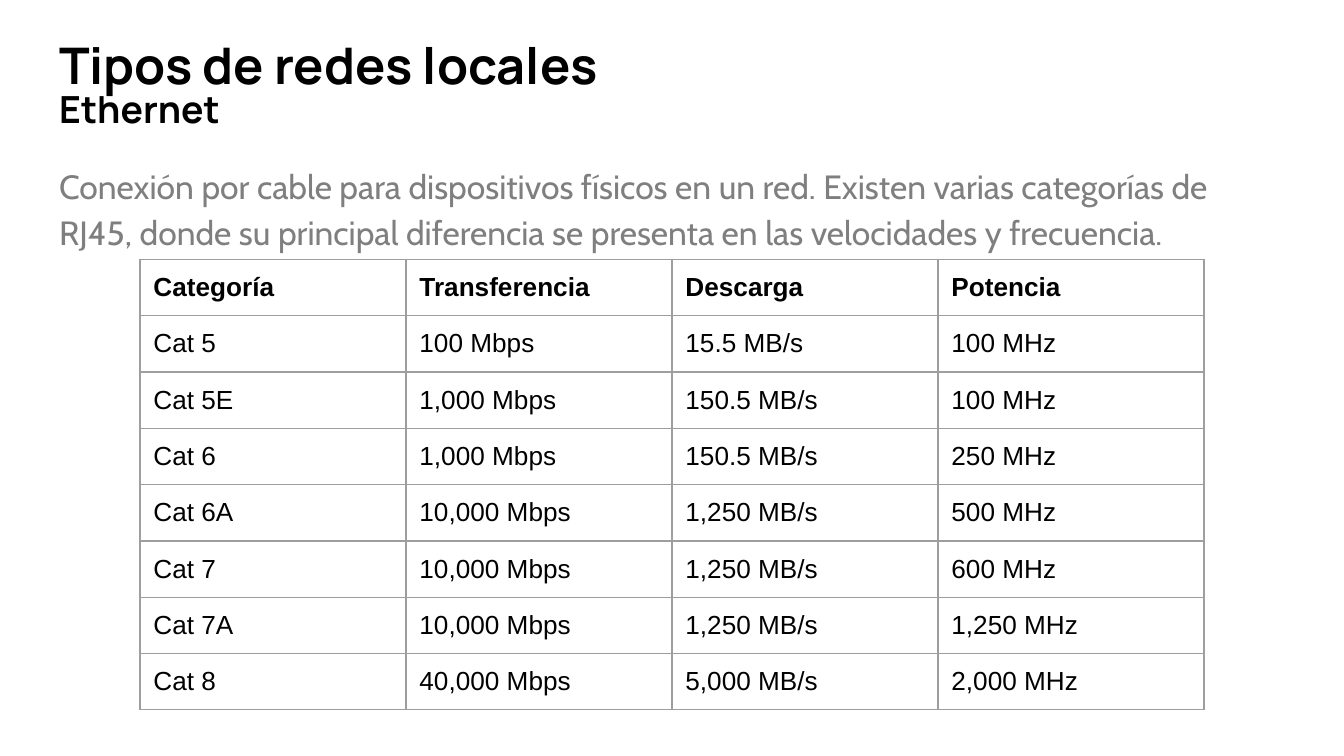
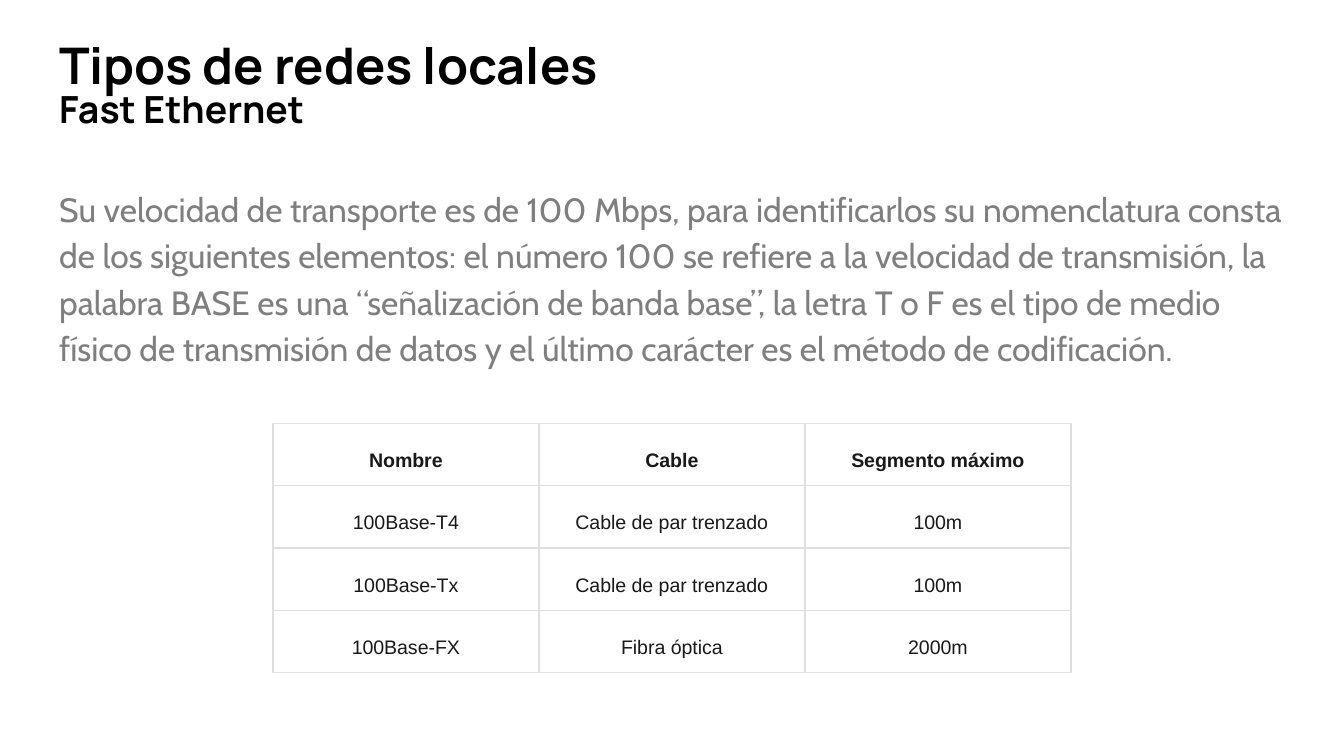
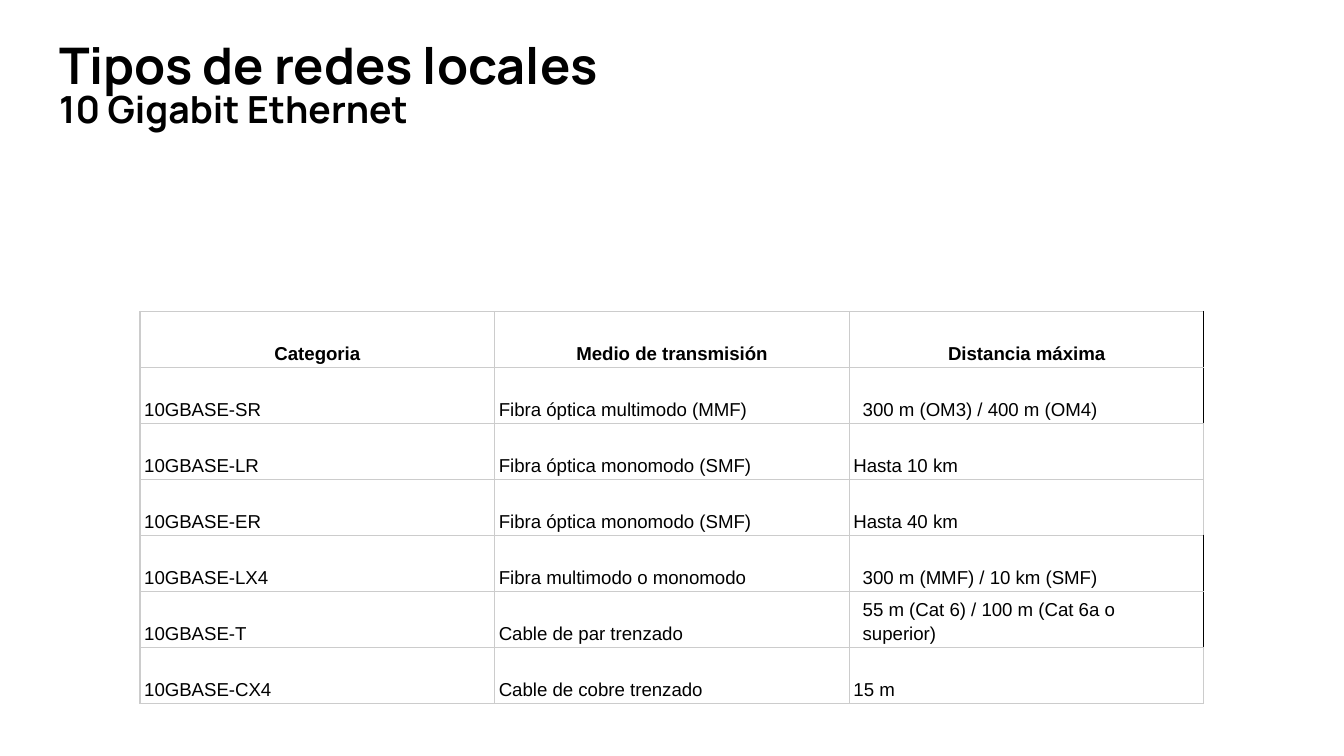
import pptx
import pptx.dml.color
import pptx.enum.text
import pptx.oxml
import pptx.oxml.ns
import pptx.util
from dataclasses import dataclass

Pt = pptx.util.Pt
ALIGN = pptx.enum.text.PP_ALIGN
ANCHOR = pptx.enum.text.MSO_ANCHOR

# Shared style
BLACK, GRAY = "000000", "7F7F7F"
TITLE_FONT, BODY_FONT, TABLE_FONT = "Manrope", "Cabin", "Arial"
TITLE = "Tipos de redes locales"
LEFT, WIDTH = 24.5, 671
INSET = 7.2


@dataclass
class TableStyle:
    size: float
    border: str
    color: str = BLACK
    inset_x: float = INSET
    inset_y: float = INSET
    anchor: ANCHOR = ANCHOR.TOP
    header_align: ALIGN = ALIGN.LEFT
    align: ALIGN = ALIGN.LEFT
    spacing: float = 1.0


ETHERNET = TableStyle(14, "9E9E9E")
FAST = TableStyle(10.5, "DFDFDF", "19191A", 9, INSET, ANCHOR.MIDDLE,
                  ALIGN.CENTER, ALIGN.CENTER, 1.57)
GIGABIT = TableStyle(10, "CCCCCC", BLACK, 2.25, 1.5, ANCHOR.BOTTOM,
                     ALIGN.CENTER, ALIGN.LEFT, 1.15)

# Contents
ETHERNET_TEXT = (
    "Conexión por cable para dispositivos físicos en un red. Existen varias "
    "categorías de RJ45, donde su principal diferencia se presenta en las "
    "velocidades y frecuencia.")
FAST_TEXT = (
    "Su velocidad de transporte es de 100 Mbps, para identificarlos su "
    "nomenclatura consta de los siguientes elementos: el número 100 se refiere "
    "a la velocidad de transmisión, la palabra BASE es una “señalización de "
    "banda base”, la letra T o F es el tipo de medio físico de transmisión de "
    "datos y el último carácter es el método de codificación.")

ETHERNET_ROWS = [
    ("Categoría", "Transferencia", "Descarga", "Potencia"),
    ("Cat 5", "100 Mbps", "15.5 MB/s", "100 MHz"),
    ("Cat 5E", "1,000 Mbps", "150.5 MB/s", "100 MHz"),
    ("Cat 6", "1,000 Mbps", "150.5 MB/s", "250 MHz"),
    ("Cat 6A", "10,000 Mbps", "1,250 MB/s", "500 MHz"),
    ("Cat 7", "10,000 Mbps", "1,250 MB/s", "600 MHz"),
    ("Cat 7A", "10,000 Mbps", "1,250 MB/s", "1,250 MHz"),
    ("Cat 8", "40,000 Mbps", "5,000 MB/s", "2,000 MHz"),
]
FAST_ROWS = [
    ("Nombre", "Cable", "Segmento máximo"),
    ("100Base-T4", "Cable de par trenzado", "100m"),
    ("100Base-Tx", "Cable de par trenzado", "100m"),
    ("100Base-FX", "Fibra óptica", "2000m"),
]
GIGABIT_ROWS = [
    ("Categoria", "Medio de transmisión", "Distancia máxima"),
    ("10GBASE-SR", "Fibra óptica multimodo (MMF)", "300 m (OM3) / 400 m (OM4)"),
    ("10GBASE-LR", "Fibra óptica monomodo (SMF)", "Hasta 10 km"),
    ("10GBASE-ER", "Fibra óptica monomodo (SMF)", "Hasta 40 km"),
    ("10GBASE-LX4", "Fibra multimodo o monomodo", "300 m (MMF) / 10 km (SMF)"),
    ("10GBASE-T", "Cable de par trenzado",
     "55 m (Cat 6) / 100 m (Cat 6a o superior)"),
    ("10GBASE-CX4", "Cable de cobre trenzado", "15 m"),
]
GIGABIT_OPEN_ROWS = (0, 1, 4, 5)  # last cell: wide inset, black right edge


def rgb(color):
    return pptx.dml.color.RGBColor.from_string(color)


def format_paragraph(p, font, size, color, bold=False, align=ALIGN.LEFT, spacing=1.0):
    p.alignment = align
    p.line_spacing = spacing
    p.space_before = Pt(0)
    for r in p.runs:
        r.font.name, r.font.size, r.font.bold = font, Pt(size), bold
        r.font.color.rgb = rgb(color)


def place(sp, top, height):
    sp.left, sp.top, sp.width, sp.height = Pt(LEFT), Pt(top), Pt(WIDTH), Pt(height)
    tf = sp.text_frame
    tf.margin_left = tf.margin_right = tf.margin_top = tf.margin_bottom = Pt(INSET)
    tf.vertical_anchor = ANCHOR.TOP
    tf.auto_size = pptx.enum.text.MSO_AUTO_SIZE.NONE
    tf.word_wrap = True
    return tf


def add_slide(prs, layout, subtitle):
    s = prs.slides.add_slide(prs.slide_layouts[layout])
    tf = place(s.shapes.title, 10.9, 73.2)
    tf.text = TITLE + "\n" + subtitle
    format_paragraph(tf.paragraphs[0], TITLE_FONT, 27, BLACK, True)
    format_paragraph(tf.paragraphs[1], TITLE_FONT, 20, BLACK, True, spacing=0.82)
    return s


def set_body(s, top, text, space_after=0):
    tf = place(s.placeholders[1], top, 269)
    tf.text = text
    p = tf.paragraphs[0]
    format_paragraph(p, BODY_FONT, 18, GRAY, spacing=1.15)
    p.space_after = Pt(space_after)
    # No bullet or hanging indent
    pPr = p._p.get_or_add_pPr()
    pPr.set("marL", "0")
    pPr.set("indent", "0")
    pPr.append(pptx.oxml.parse_xml(f"<a:buNone {pptx.oxml.ns.nsdecls('a')}/>"))


def set_borders(cell, color, right):
    tcPr = cell._tc.get_or_add_tcPr()
    for side, line in (("L", color), ("R", right), ("T", color), ("B", color)):
        tcPr.append(pptx.oxml.parse_xml(
            f'<a:ln{side} {pptx.oxml.ns.nsdecls("a")} w="{Pt(0.75)}">'
            f'<a:solidFill><a:srgbClr val="{line}"/></a:solidFill></a:ln{side}>'))


def add_table(s, left, top, col_width, row_height, rows, style, open_rows=()):
    n_rows, n_cols = len(rows), len(rows[0])
    table = s.shapes.add_table(n_rows, n_cols, Pt(left), Pt(top), Pt(col_width * n_cols),
                               Pt(row_height * n_rows)).table
    table.first_row = table.horz_banding = False
    for column in table.columns:
        column.width = Pt(col_width)
    for i, values in enumerate(rows):
        table.rows[i].height = Pt(row_height)
        for j, value in enumerate(values):
            is_open = i in open_rows and j == n_cols - 1
            cell = table.cell(i, j)
            cell.text = value
            cell.vertical_anchor = style.anchor
            cell.margin_left = cell.margin_right = Pt(INSET if is_open else style.inset_x)
            cell.margin_top = cell.margin_bottom = Pt(style.inset_y)
            set_borders(cell, style.border, BLACK if is_open else style.border)
            cell.fill.background()
            format_paragraph(cell.text_frame.paragraphs[0], TABLE_FONT, style.size,
                             style.color, i == 0,
                             style.header_align if i == 0 else style.align, style.spacing)


def main():
    prs = pptx.Presentation()
    prs.slide_width, prs.slide_height = Pt(720), Pt(405)

    # Ethernet
    s = add_slide(prs, 1, "Ethernet")
    set_body(s, 78.5, ETHERNET_TEXT)
    add_table(s, 75, 139, 142.5, 30, ETHERNET_ROWS, ETHERNET)

    # Fast Ethernet
    s = add_slide(prs, 1, "Fast Ethernet")
    set_body(s, 90.7, FAST_TEXT, space_after=12)
    add_table(s, 146.2, 226.8, 142.5, 33.4, FAST_ROWS, FAST)

    # 10 Gigabit Ethernet
    s = add_slide(prs, 5, "10 Gigabit Ethernet")
    add_table(s, 75, 166.8, 190, 30, GIGABIT_ROWS, GIGABIT, GIGABIT_OPEN_ROWS)

    prs.save("out.pptx")


if __name__ == "__main__":
    main()
